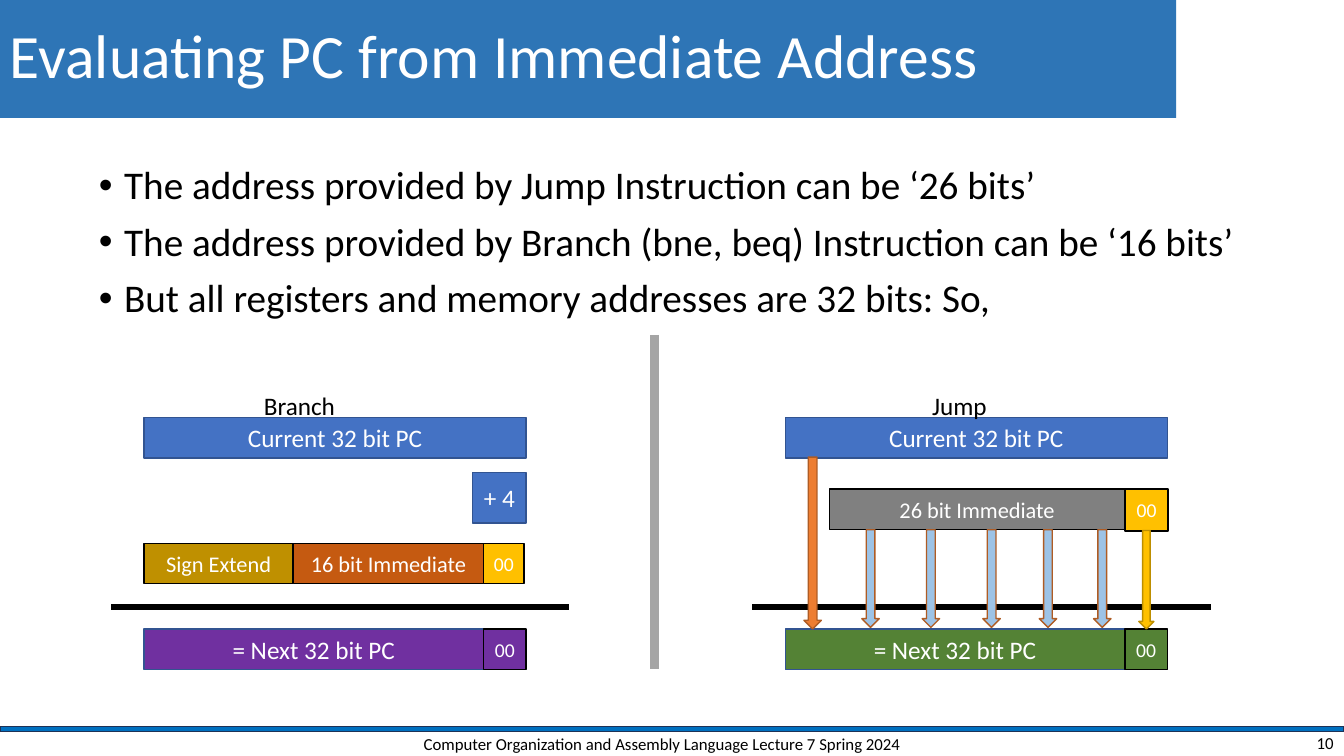
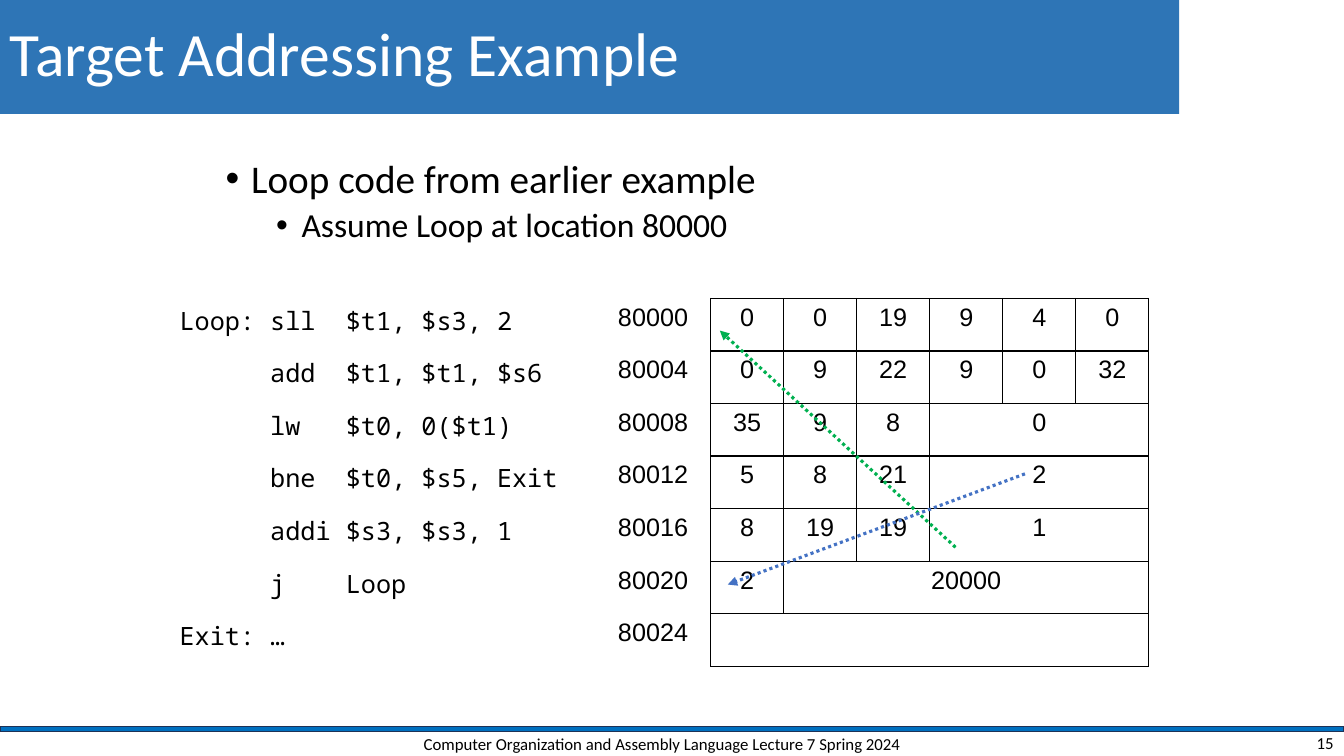
from dataclasses import dataclass

from lxml.etree import SubElement
from pptx import Presentation
from pptx.dml.color import RGBColor
from pptx.enum.dml import MSO_LINE
from pptx.enum.shapes import MSO_CONNECTOR, MSO_SHAPE
from pptx.enum.text import MSO_ANCHOR, PP_ALIGN
from pptx.oxml.ns import qn
from pptx.util import Cm, Pt


@dataclass(frozen=True)
class Theme:
    # Fonts
    body_font: str = "Calibri"
    table_font: str = "Arial"
    code_font: str = "Noto Sans Mono"
    # Type sizes
    title_size: int = 44
    bullet_sizes: tuple = (28, 24)
    text_size: int = 18
    field_size: int = 16
    bits_size: int = 14
    footer_size: int = 12
    # Colours
    black: str = "000000"
    white: str = "FFFFFF"
    title_band: str = "2E75B6"
    footer_band: str = "0070C0"
    footer_edge: str = "1E3256"
    blue: str = "4472C4"
    blue_edge: str = "325491"
    rust: str = "C55A11"
    ochre: str = "BF9000"
    gold: str = "FFC000"
    gold_edge: str = "BD8E00"
    purple: str = "7030A0"
    green: str = "548235"
    gray: str = "808080"
    divider: str = "A5A5A5"
    orange: str = "ED7D31"
    arrow_edge: str = "AF5C24"
    pale_blue: str = "9DC3E6"
    bright_green: str = "00B050"


THEME = Theme()
FOOTER = "Computer Organization and Assembly Language Lecture 7 Spring 2024"


class Deck:
    """Holds the presentation, its style and the current slide."""

    def __init__(self, theme):
        self.theme = theme
        self.presentation = Presentation()
        self.presentation.slide_width = Cm(33.87)
        self.presentation.slide_height = Cm(19.05)
        self.slide = None

    def new_slide(self, title, title_box, number):
        theme = self.theme
        layout = self.presentation.slide_layouts[6]
        self.slide = self.presentation.slides.add_slide(layout)
        self.box((0, 18.31, 33.87, 0.13), theme.footer_band, theme.footer_edge)
        band = self.box(title_box, theme.title_band)
        band.text_frame.margin_left = Cm(0.25)
        self.set_text(band.text_frame, title, theme.title_size, theme.white)
        band.text_frame.paragraphs[0].line_spacing = 0.9
        self.label((9.96, 18.39, 13.46, 0.71), FOOTER, theme.footer_size,
                   PP_ALIGN.CENTER, MSO_ANCHOR.MIDDLE)
        self.label((26.24, 18.39, 7.62, 0.64), str(number), theme.footer_size,
                   PP_ALIGN.RIGHT, MSO_ANCHOR.MIDDLE)

    def style(self, paragraph, size, color, font=None):
        for run in paragraph.runs:
            run.font.size = Pt(size)
            run.font.name = font or self.theme.body_font
            run.font.color.rgb = RGBColor.from_string(color)

    def set_text(self, text_frame, text, size, color, align=PP_ALIGN.LEFT, font=None):
        text_frame.text = text
        paragraph = text_frame.paragraphs[0]
        paragraph.alignment = align
        self.style(paragraph, size, color, font)

    def box(self, bounds, fill, edge=None, text="", size=None, kind=MSO_SHAPE.RECTANGLE):
        shape = self.slide.shapes.add_shape(kind, *map(Cm, bounds))
        shape.shadow.inherit = False
        shape.fill.solid()
        shape.fill.fore_color.rgb = RGBColor.from_string(fill)
        if edge:
            shape.line.color.rgb = RGBColor.from_string(edge)
            shape.line.width = Pt(1)
        else:
            shape.line.fill.background()
        frame = shape.text_frame
        frame.margin_left = frame.margin_right = 0
        frame.vertical_anchor = MSO_ANCHOR.MIDDLE
        if text:
            self.set_text(frame, text, size or self.theme.text_size,
                          self.theme.white, PP_ALIGN.CENTER)
        return shape

    def down_arrow(self, bounds, fill, edge):
        self.box(bounds, fill, edge, kind=MSO_SHAPE.DOWN_ARROW)

    def label(self, bounds, text, size, align=PP_ALIGN.LEFT, anchor=MSO_ANCHOR.TOP):
        frame = self.slide.shapes.add_textbox(*map(Cm, bounds)).text_frame
        frame.word_wrap = True
        frame.vertical_anchor = anchor
        self.set_text(frame, text, size, self.theme.black, align)

    def bullets(self, bounds, items):
        """Each item is a pair of level and text."""
        frame = self.slide.shapes.add_textbox(*map(Cm, bounds)).text_frame
        frame.word_wrap = True
        for index, (level, text) in enumerate(items):
            paragraph = frame.add_paragraph() if index else frame.paragraphs[0]
            paragraph.text = text
            paragraph.level = level
            properties = paragraph._p.get_or_add_pPr()
            properties.set("marL", str(Cm(0.64 + 1.27 * level)))
            properties.set("indent", str(-Cm(0.64)))
            SubElement(properties, qn("a:buFont")).set("typeface", "Arial")
            SubElement(properties, qn("a:buChar")).set("char", "•")
            paragraph.line_spacing = 0.9
            paragraph.space_before = Pt((5 if level else 10) if index else 0)
            self.style(paragraph, self.theme.bullet_sizes[level], self.theme.black)

    def line(self, start, end, color, width, dotted_arrow=False):
        connector = self.slide.shapes.add_connector(
            MSO_CONNECTOR.STRAIGHT, *map(Cm, start + end))
        connector.line.color.rgb = RGBColor.from_string(color)
        connector.line.width = Pt(width)
        properties = connector.element.spPr
        if dotted_arrow:
            connector.line.dash_style = MSO_LINE.ROUND_DOT
            SubElement(properties.find(qn("a:ln")), qn("a:tailEnd")).set("type", "triangle")
        SubElement(properties, qn("a:effectLst"))

    def cell_borders(self, cell, colors):
        """Colours run left, right, top, bottom."""
        properties = cell._tc.get_or_add_tcPr()
        for side, color in zip("LRTB", colors):
            border = SubElement(properties, qn(f"a:ln{side}"))
            border.set("w", str(Pt(1)))
            fill = SubElement(border, qn("a:solidFill"))
            SubElement(fill, qn("a:srgbClr")).set("val", color)

    def code_table(self, bounds, widths, rows):
        """Each row is code, address and fields; the last field fills the row."""
        theme = self.theme
        table = self.slide.shapes.add_table(
            len(rows), len(widths), *map(Cm, bounds)).table
        table.first_row = table.horz_banding = False
        for column, width in zip(table.columns, widths):
            column.width = Cm(width)
        code_edges = [theme.white] * 4
        address_edges = [theme.white, theme.black, theme.white, theme.white]
        field_edges = [theme.black] * 4
        column_edges = [code_edges, address_edges] + [field_edges] * (len(widths) - 2)
        for row_index, (code, address, fields) in enumerate(rows):
            for column_index, edges in enumerate(column_edges):
                cell = table.cell(row_index, column_index)
                self.cell_borders(cell, edges)
                cell.fill.background()
            texts = [code, address, *fields]
            for column_index, text in enumerate(texts):
                self.set_text(table.cell(row_index, column_index).text_frame, text,
                              theme.text_size, theme.black,
                              PP_ALIGN.CENTER if column_index > 1 else PP_ALIGN.LEFT,
                              theme.table_font if column_index else theme.code_font)
            if len(texts) < len(widths):
                table.cell(row_index, len(texts) - 1).merge(
                    table.cell(row_index, len(widths) - 1))

    def address_panel(self, left, heading, heading_offset, result_color):
        """Current PC above the sum line, next PC below it."""
        theme = self.theme
        self.box((left, 10.52, 9.63, 1.02), theme.blue, theme.blue_edge, "Current 32 bit PC")
        self.box((left, 15.85, 8.56, 1.02), result_color, theme.blue_edge, "= Next 32 bit PC")
        self.box((left + 8.56, 15.85, 1.07, 1.02), result_color, theme.black,
                 "00", theme.bits_size)
        self.line((left - 0.83, 15.29), (left + 10.72, 15.29), theme.black, 4.5)
        self.label((left + heading_offset, 9.7, 2.5, 1.02), heading, theme.text_size)


def immediate_address_slide(deck):
    theme = deck.theme
    deck.new_slide("Evaluating PC from Immediate Address", (0, -0.03, 29.64, 3), 10)
    deck.bullets((2.24, 4.06, 29.21, 11.51), [
        (0, "The address provided by Jump Instruction can be ‘26 bits’"),
        (0, "The address provided by Branch (bne, beq) Instruction can be ‘16 bits’"),
        (0, "But all registers and memory addresses are 32 bits: So,"),
    ])

    # Branch: current PC + 4 + extended immediate
    deck.address_panel(3.63, "Branch", 2.77, theme.purple)
    deck.box((11.91, 11.91, 1.35, 1.27), theme.blue, theme.blue_edge, "+ 4")
    for left, width, fill, text, size in [
        (3.63, 3.76, theme.ochre, "Sign Extend", theme.field_size),
        (7.39, 4.8, theme.rust, "16 bit Immediate", theme.field_size),
        (12.19, 1.02, theme.gold, "00", theme.bits_size),
    ]:
        deck.box((left, 13.69, width, 1.02), fill, theme.black, text, size)

    # Jump: upper PC bits joined to the immediate
    deck.address_panel(19.79, "Jump", 3.45, theme.green)
    deck.box((20.9, 12.32, 7.45, 1.02), theme.gray, theme.black,
             "26 bit Immediate", theme.field_size)
    deck.box((28.35, 12.32, 1.09, 1.06), theme.gold, theme.black, "00", theme.bits_size)
    deck.down_arrow((28.7, 13.37, 0.38, 2.48), theme.gold, theme.gold_edge)
    deck.down_arrow((20.26, 11.52, 0.44, 4.33), theme.orange, theme.arrow_edge)
    for left in (21.72, 23.24, 24.77, 26.19, 27.56):
        deck.down_arrow((left, 13.35, 0.44, 2.46), theme.pale_blue, theme.arrow_edge)

    # Divider between the two panels
    deck.line((16.49, 8.44), (16.49, 16.87), theme.divider, 6)


def target_addressing_slide(deck):
    theme = deck.theme
    deck.new_slide("Target Addressing Example", (0, 0, 29.72, 2.87), 15)
    deck.bullets((5.44, 3.89, 22.99, 3.4), [
        (0, "Loop code from earlier example"),
        (1, "Assume Loop at location 80000"),
    ])

    # Instructions, addresses and encoded fields
    instructions = [
        ("Loop: sll  $t1, $s3, 2", ["0", "0", "19", "9", "4", "0"]),
        ("      add  $t1, $t1, $s6", ["0", "9", "22", "9", "0", "32"]),
        ("      lw   $t0, 0($t1)", ["35", "9", "8", "0"]),
        ("      bne  $t0, $s5, Exit", ["5", "8", "21", "2"]),
        ("      addi $s3, $s3, 1", ["8", "19", "19", "1"]),
        ("      j    Loop", ["2", "20000"]),
        ("Exit: …", [""]),
    ]
    rows = [(code, str(80000 + 4 * index), fields)
            for index, (code, fields) in enumerate(instructions)]
    deck.code_table((4.27, 7.52, 24.68, 9.27), [11.05, 2.59] + [1.84] * 6, rows)

    # Jump and branch targets
    deck.line((24.08, 13.79), (18.14, 8.33), theme.bright_green, 2.25, dotted_arrow=True)
    deck.line((25.83, 11.94), (18.34, 14.73), theme.blue, 2.25, dotted_arrow=True)


def main():
    deck = Deck(THEME)
    immediate_address_slide(deck)
    target_addressing_slide(deck)
    deck.presentation.save("out.pptx")


if __name__ == "__main__":
    main()
